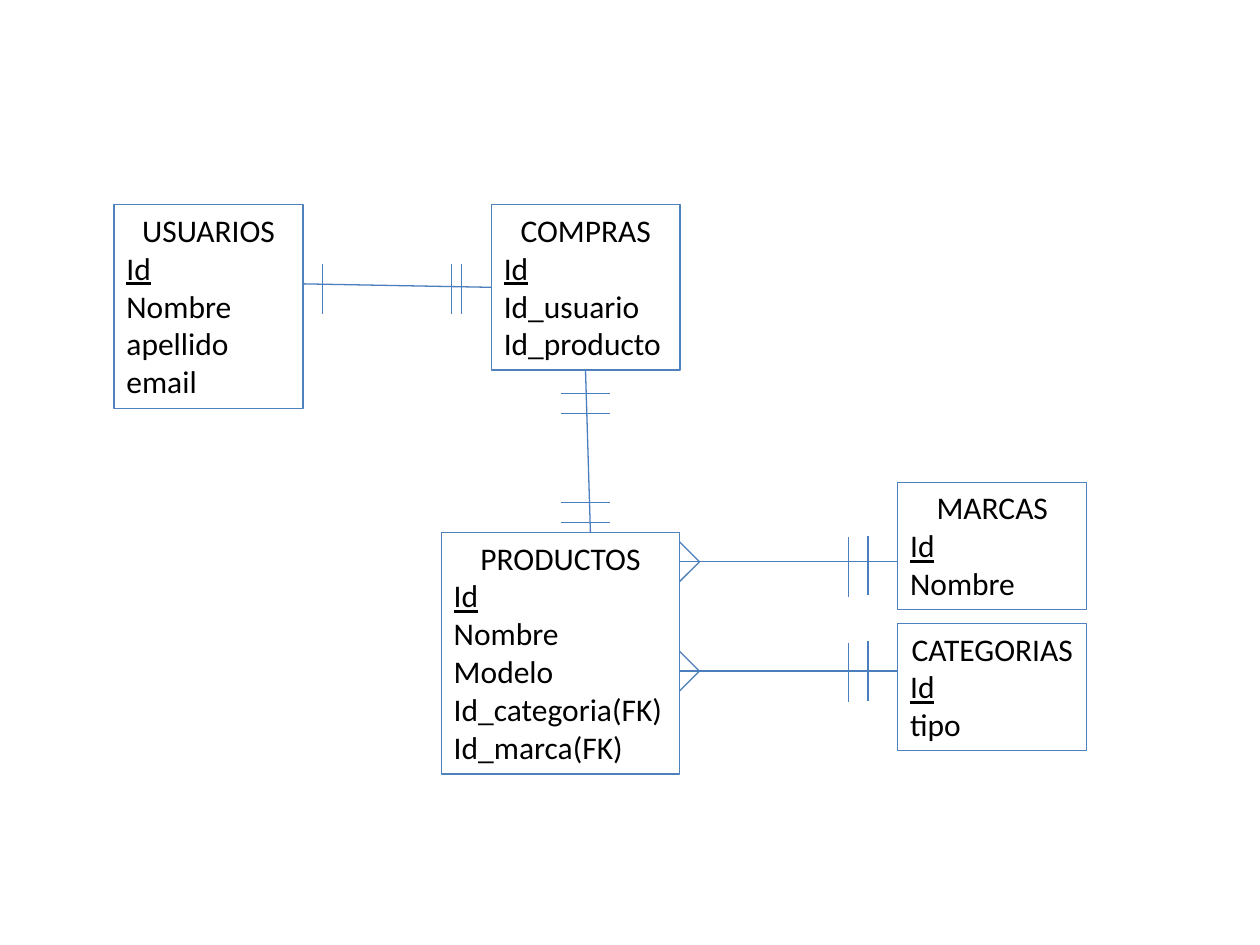
from pptx import Presentation
from pptx.util import Pt
from pptx.dml.color import RGBColor
from pptx.enum import shapes as sh, text as tx
from pptx.oxml.ns import qn
from lxml import etree

BLACK = RGBColor(0, 0, 0)
EDGE = RGBColor(0x4F, 0x81, 0xBD)
LINK = RGBColor(0x4B, 0x7E, 0xBC)
FONT, SIZE, ROW, PAD = "Calibri", 18, 21.81, 7.25

# name, left, top, width, fields (the first is the key)
TABLES = [
    ("USUARIOS", 65.2, 117, 108, ["Id", "Nombre", "apellido", "email"]),
    ("PRODUCTOS", 252.2, 304.2, 136.2,
     ["Id", "Nombre", "Modelo", "Id_categoria(FK)", "Id_marca(FK)"]),
    ("CATEGORIAS", 513, 356.2, 108, ["Id", "tipo"]),
    ("MARCAS", 513, 275.6, 108, ["Id", "Nombre"]),
    ("COMPRAS", 280.8, 117, 107.8, ["Id", "Id_usuario", "Id_producto"]),
]
# x1, y1, x2, y2
LINKS = [(173, 162.2, 280.8, 164.2), (334.6, 211.5, 337.4, 304.2)]
USER_TICKS = [184.3, 258.1, 263.8]
BUY_TICKS = [224.7, 236.1, 287, 298.4]
TICK_TOP, TICK_LEFT, TICK = 151, 320.6, 28.2
# link height, top of the left and of the right tick
FORKS = [(321, 307, 306.2), (383.5, 367.3, 366.5)]
FORK_LEFT, FORK_TIP, FORK_END, SPREAD = 388.4, 399.7, 513, 11.3
BARS, BAR = (484.8, 496), 34


def add_box(slide, name, left, top, width, fields):
    """Add one entity with its centred name and underlined key."""
    height = PAD + ROW * (len(fields) + 1)
    box = slide.shapes.add_shape(sh.MSO_SHAPE.RECTANGLE,
                                 Pt(left), Pt(top), Pt(width), Pt(height))
    box.shadow.inherit = False
    box.fill.background()
    box.line.color.rgb, box.line.width = EDGE, Pt(0.75)
    frame = box.text_frame
    frame.word_wrap = True
    frame.vertical_anchor = tx.MSO_ANCHOR.TOP
    frame.text = "\n".join([name] + fields)
    for i, para in enumerate(frame.paragraphs):
        para.alignment = tx.PP_ALIGN.LEFT if i else tx.PP_ALIGN.CENTER
        font = para.runs[0].font
        font.name, font.size, font.color.rgb = FONT, Pt(SIZE), BLACK
        font.underline = i == 1
    frame.auto_size = tx.MSO_AUTO_SIZE.SHAPE_TO_FIT_TEXT


def add_line(slide, *ends):
    """Add a thin straight line from x1, y1 to x2, y2."""
    line = slide.shapes.add_connector(sh.MSO_CONNECTOR.STRAIGHT,
                                      *[Pt(v) for v in ends])
    line.line.color.rgb, line.line.width = LINK, Pt(0.75)
    etree.SubElement(line._element.spPr, qn("a:effectLst"))


def all_lines():
    """Return the ends of every link, tick and fork."""
    lines = list(LINKS)
    lines += [(x, TICK_TOP, x, TICK_TOP + TICK) for x in USER_TICKS]
    lines += [(TICK_LEFT, y, TICK_LEFT + TICK, y) for y in BUY_TICKS]
    for y, *tops in FORKS:
        lines.append((FORK_LEFT, y, FORK_END, y))
        lines += [(FORK_TIP, y, FORK_LEFT, y + d) for d in (-SPREAD, SPREAD)]
        lines += [(x, top, x, top + BAR) for x, top in zip(BARS, tops)]
    return lines


deck = Presentation()
deck.slide_width, deck.slide_height = Pt(720), Pt(540)
page = deck.slides.add_slide(deck.slide_layouts[6])
for table in TABLES:
    add_box(page, *table)
for ends in all_lines():
    add_line(page, *ends)
deck.save("out.pptx")
